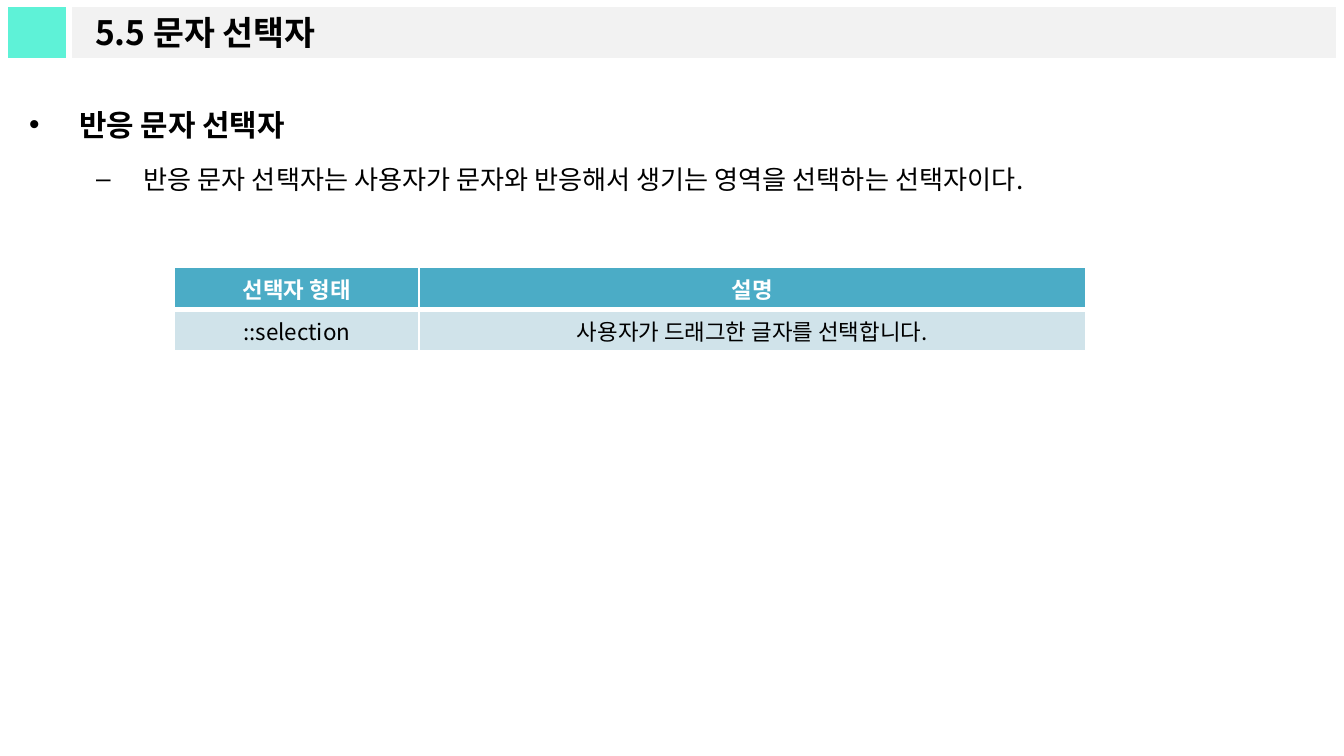
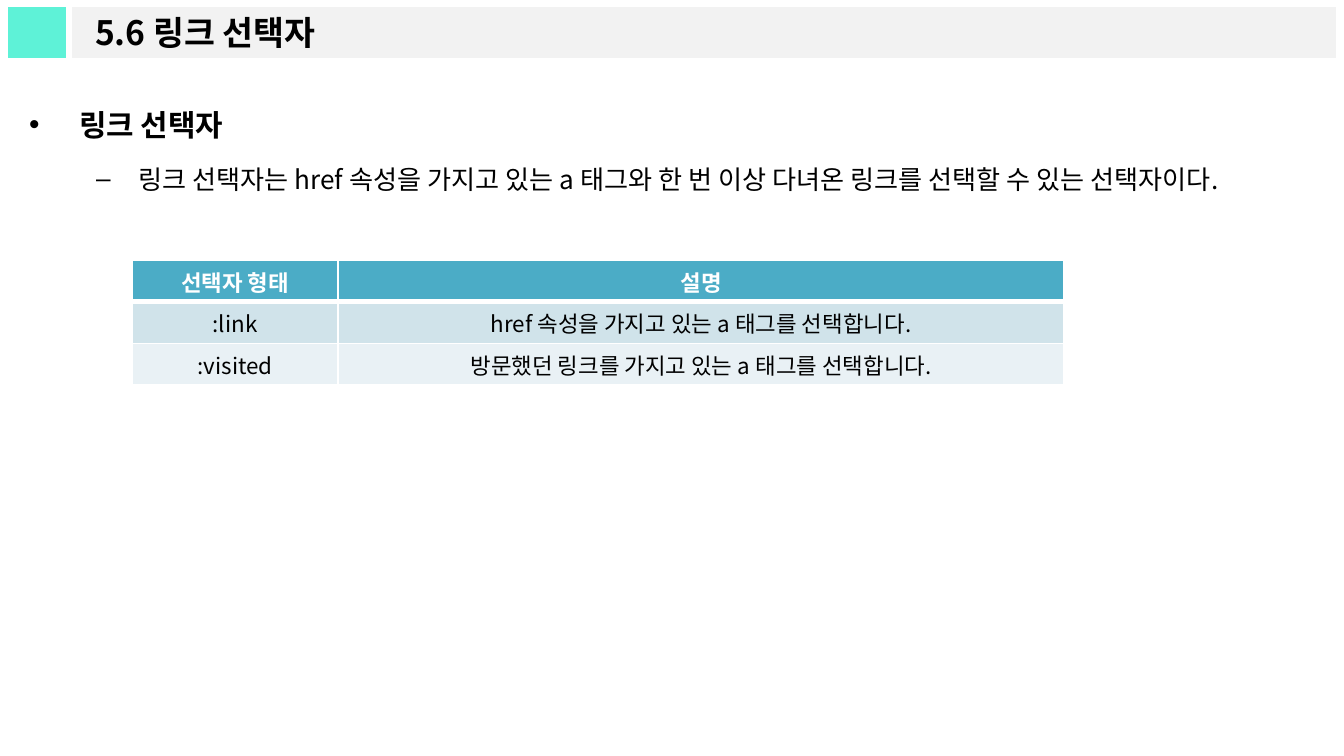
"""Build two slides on CSS text and link selectors."""
import dataclasses

import lxml.etree
import pptx
import pptx.dml.color
import pptx.enum.shapes
import pptx.enum.text
import pptx.oxml.ns
import pptx.slide
import pptx.text.text
import pptx.util

Cm = pptx.util.Cm
Pt = pptx.util.Pt
qn = pptx.oxml.ns.qn
ALIGN = pptx.enum.text.PP_ALIGN
ANCHOR = pptx.enum.text.MSO_ANCHOR


@dataclasses.dataclass(frozen=True)
class Theme:
    font: str = "Noto Sans CJK KR"
    mint: str = "5EF2D7"
    gray: str = "F2F2F2"
    head: str = "4BACC6"
    bands: tuple[str, str] = ("D0E3EA", "E9F1F5")
    white: str = "FFFFFF"
    black: str = "000000"
    title: int = 18
    topic: int = 16
    point: int = 14
    cell: int = 12
    thin: int = 1
    thick: int = 3


@dataclasses.dataclass(frozen=True)
class Level:
    mark: str
    size: int
    bold: bool
    left: float
    hang: float


@dataclasses.dataclass(frozen=True)
class Grid:
    left: float
    top: float
    cols: tuple[float, float]
    rows: tuple[tuple[str, str], ...]


@dataclasses.dataclass(frozen=True)
class Page:
    title: str
    topic: str
    point: str
    grid: Grid


THEME = Theme()
LEVELS = (
    Level("•", THEME.topic, True, 0.95, 0.95),
    Level("–", THEME.point, False, 2.06, 0.79),
)
HEAD = ("선택자 형태", "설명")
ROW = 0.79
PAGES = (
    Page(
        "5.5 문자 선택자",
        "반응 문자 선택자",
        " 반응 문자 선택자는 사용자가 문자와 반응해서 생기는 영역을 선택하는 선택자이다.",
        Grid(3.3, 5.06, (4.62, 12.6), (
            HEAD,
            ("::selection", "사용자가 드래그한 글자를 선택합니다."),
        )),
    ),
    Page(
        "5.6 링크 선택자",
        "링크 선택자",
        "링크 선택자는 href 속성을 가지고 있는 a 태그와 한 번 이상 다녀온 링크를 선택할 수 있는 선택자이다.",
        Grid(2.5, 4.91, (3.89, 13.72), (
            HEAD,
            (":link", "href 속성을 가지고 있는 a 태그를 선택합니다."),
            (":visited", "방문했던 링크를 가지고 있는 a 태그를 선택합니다."),
        )),
    ),
)


def rgb(code: str) -> pptx.dml.color.RGBColor:
    """Turn a hex code into a colour."""
    return pptx.dml.color.RGBColor.from_string(code)


def write(para: pptx.text.text._Paragraph, text: str, size: int,
          bold: bool, color: str = THEME.black) -> None:
    """Add one styled run to a paragraph."""
    run = para.add_run()
    run.text = text
    font = run.font
    font.size, font.bold, font.name = Pt(size), bold, THEME.font
    font.color.rgb = rgb(color)
    east = lxml.etree.SubElement(font._element, qn("a:ea"))
    east.set("typeface", THEME.font)


def block(slide: pptx.slide.Slide, left: float, width: float,
          color: str) -> pptx.text.text.TextFrame:
    """Draw one part of the title band and return its text frame."""
    shape = slide.shapes.add_shape(
        pptx.enum.shapes.MSO_SHAPE.RECTANGLE,
        Cm(left), Cm(0.08), Cm(width), Cm(1.07))
    shape.shadow.inherit = False
    shape.fill.solid()
    shape.fill.fore_color.rgb = rgb(color)
    shape.line.color.rgb = rgb(THEME.white)
    shape.line.width = Pt(THEME.thick)
    return shape.text_frame


def band(slide: pptx.slide.Slide, title: str) -> None:
    """Draw the title band."""
    block(slide, 0.1, 1.2, THEME.mint)
    frame = block(slide, 1.3, 24, THEME.gray)
    frame.margin_left = Cm(0.5)
    frame.vertical_anchor = ANCHOR.MIDDLE
    para = frame.paragraphs[0]
    para.alignment = ALIGN.LEFT
    write(para, title, THEME.title, True)


def body(slide: pptx.slide.Slide, lines: tuple[str, ...]) -> None:
    """Write the bulleted lines, one level deeper each."""
    box = slide.shapes.add_textbox(Cm(0.3), Cm(1.55), Cm(25), Cm(12.3))
    frame = box.text_frame
    frame.word_wrap = True
    for depth, (level, text) in enumerate(zip(LEVELS, lines)):
        para = frame.add_paragraph() if depth else frame.paragraphs[0]
        para.level = depth
        para.line_spacing = 1.5
        para.space_before = Pt(level.size * 0.2)
        props = para._p.get_or_add_pPr()
        props.set("marL", str(Cm(level.left)))
        props.set("indent", str(-Cm(level.hang)))
        lxml.etree.SubElement(props, qn("a:buFont")).set("typeface", "Arial")
        lxml.etree.SubElement(props, qn("a:buChar")).set("char", level.mark)
        write(para, text, level.size, level.bold)


def edge(cell: pptx.table._Cell, base: int) -> None:
    """Give a cell white borders with the given bottom width."""
    props = cell._tc.get_or_add_tcPr()
    for spot, side in enumerate("LRTB"):
        line = lxml.etree.Element(qn(f"a:ln{side}"))
        line.set("w", str(Pt(base if side == "B" else THEME.thin)))
        fill = lxml.etree.SubElement(line, qn("a:solidFill"))
        lxml.etree.SubElement(fill, qn("a:srgbClr")).set("val", THEME.white)
        props.insert(spot, line)


def table(slide: pptx.slide.Slide, grid: Grid) -> None:
    """Draw a table with a header and banded rows."""
    count = len(grid.rows)
    made = slide.shapes.add_table(
        count, len(grid.cols), Cm(grid.left), Cm(grid.top),
        Cm(sum(grid.cols)), Cm(ROW * count)).table
    for col, width in zip(made.columns, grid.cols):
        col.width = Cm(width)
    for index, texts in enumerate(grid.rows):
        made.rows[index].height = Cm(ROW)
        head = index == 0
        color = THEME.head if head else THEME.bands[(index - 1) % 2]
        for cell, text in zip(made.rows[index].cells, texts):
            cell.fill.solid()
            cell.fill.fore_color.rgb = rgb(color)
            cell.vertical_anchor = ANCHOR.MIDDLE
            cell.margin_top = cell.margin_bottom = Cm(0.1)
            edge(cell, THEME.thick if head else THEME.thin)
            para = cell.text_frame.paragraphs[0]
            para.alignment = ALIGN.CENTER
            write(para, text, THEME.cell, head,
                  THEME.white if head else THEME.black)


def main() -> None:
    """Build and save the deck."""
    deck = pptx.Presentation()
    deck.slide_width, deck.slide_height = Cm(25.4), Cm(14.29)
    for page in PAGES:
        slide = deck.slides.add_slide(deck.slide_layouts[6])
        band(slide, page.title)
        body(slide, (page.topic, page.point))
        table(slide, page.grid)
    deck.save("out.pptx")


if __name__ == "__main__":
    main()
